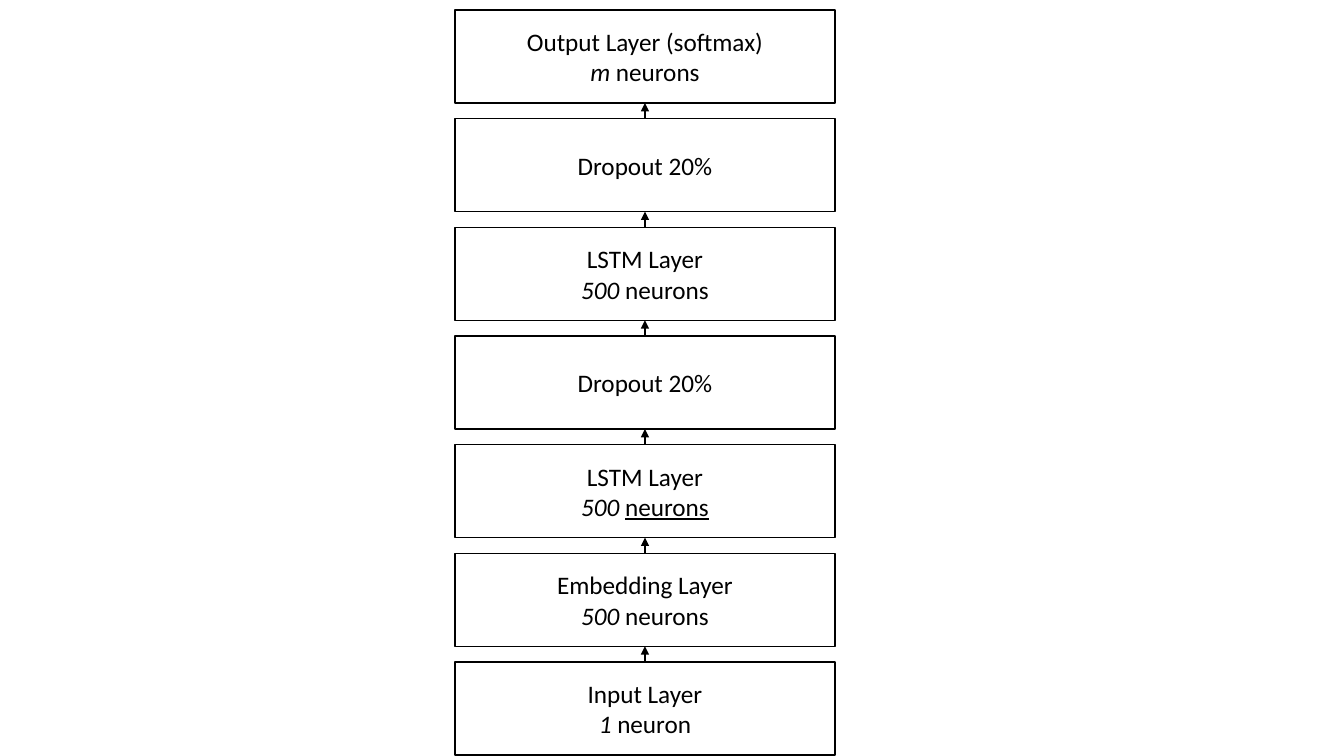
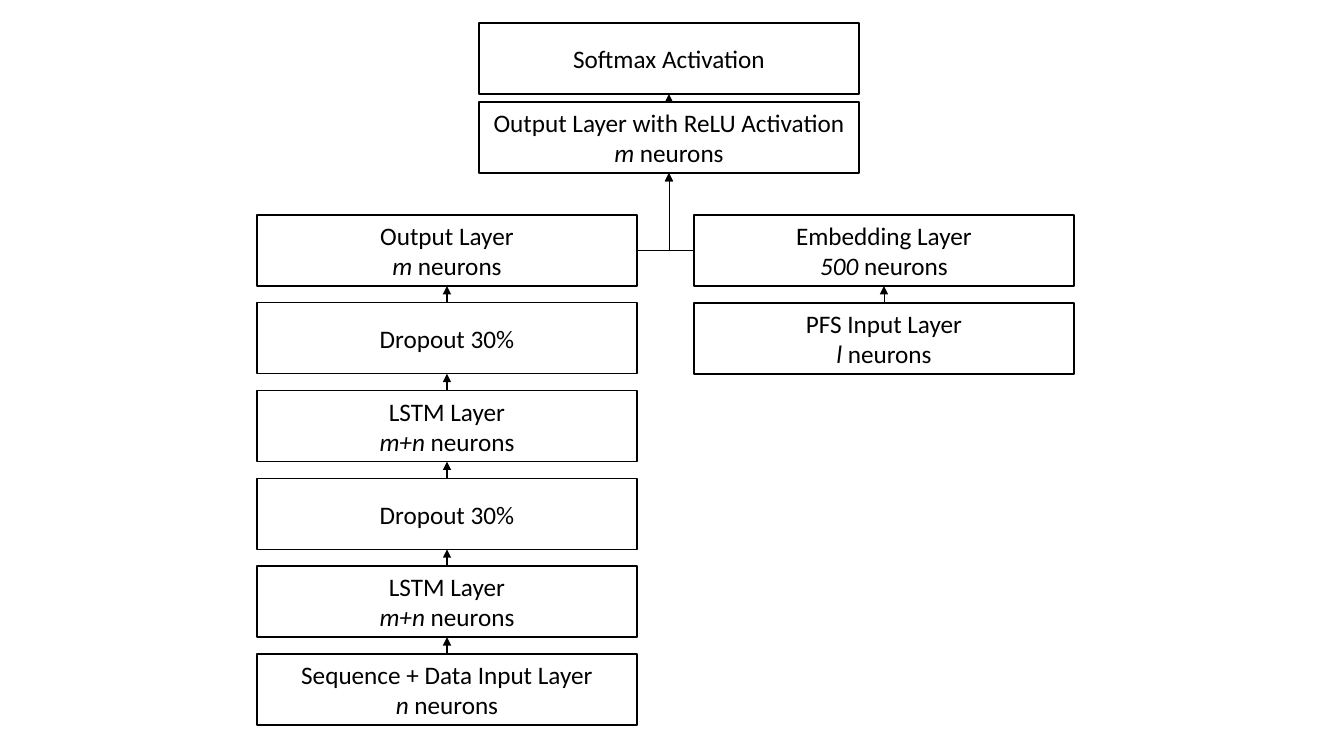
from dataclasses import dataclass
from itertools import pairwise

from lxml import etree
from pptx import Presentation
from pptx.dml.color import RGBColor
from pptx.enum import shapes, text
from pptx.oxml.ns import qn
from pptx.shapes.autoshape import Shape
from pptx.slide import Slide
from pptx.util import Emu, Pt

# Shared look
BLACK = RGBColor(0x00, 0x00, 0x00)
FONT = "Calibri"
FONT_SIZE = Pt(18)
BOX_LINE = Pt(1)
THICK, THIN = 1.5, 0.5
BOX_WIDTH = 380
TOP, LEFT, BOTTOM, RIGHT = range(4)  # connection sites of a rectangle


def px(pixels: float) -> Emu:
    return Emu(round(pixels * 914400 / 100.8))


@dataclass(frozen=True)
class Layer:
    title: str
    count: str = ""
    unit: str = "neurons"
    underlined: bool = False


@dataclass(frozen=True)
class Stack:
    """Equally spaced layers, listed from top to bottom."""
    left: int
    first_top: int
    last_top: int
    box_height: int
    arrow_width: float
    layers: tuple[Layer, ...]


def add_layer(slide: Slide, layer: Layer, left: int, top: float, height: int) -> Shape:
    box = slide.shapes.add_shape(
        shapes.MSO_SHAPE.RECTANGLE, px(left), px(top), px(BOX_WIDTH), px(height))
    box.shadow.inherit = False
    box.fill.background()
    box.line.color.rgb = BLACK
    box.line.width = BOX_LINE
    frame = box.text_frame
    frame.word_wrap = True
    frame.vertical_anchor = text.MSO_ANCHOR.MIDDLE
    frame.text = layer.title
    if layer.count:
        size_line = frame.add_paragraph()
        count = size_line.add_run()
        count.text = f"{layer.count} "
        count.font.italic = True
        unit = size_line.add_run()
        unit.text = layer.unit
        if layer.underlined:
            unit.font.underline = True
    for paragraph in frame.paragraphs:
        paragraph.alignment = text.PP_ALIGN.CENTER
        paragraph.font.name = FONT
        paragraph.font.size = FONT_SIZE
        paragraph.font.color.rgb = BLACK
    return box


def add_arrow(slide: Slide, source: Shape, target: Shape, width: float,
              source_site: int = TOP) -> None:
    """Arrow into the bottom of target; it bends when it leaves from a side."""
    bent = source_site in (LEFT, RIGHT)
    kind = shapes.MSO_CONNECTOR.ELBOW if bent else shapes.MSO_CONNECTOR.STRAIGHT
    arrow = slide.shapes.add_connector(kind, 0, 0, 0, 0)
    arrow.begin_connect(source, source_site)
    arrow.end_connect(target, BOTTOM)
    arrow.line.color.rgb = BLACK
    arrow.line.width = Pt(width)
    properties = arrow.element.spPr
    if bent:
        properties.find(qn("a:prstGeom")).set("prst", "bentConnector2")
    etree.SubElement(properties.find(qn("a:ln")), qn("a:tailEnd"), type="triangle")
    etree.SubElement(properties, qn("a:effectLst"))


def add_stack(slide: Slide, stack: Stack) -> list[Shape]:
    pitch = (stack.last_top - stack.first_top) / (len(stack.layers) - 1)
    boxes = [
        add_layer(slide, layer, stack.left, stack.first_top + row * pitch, stack.box_height)
        for row, layer in enumerate(stack.layers)
    ]
    for upper, lower in pairwise(boxes):
        add_arrow(slide, lower, upper, stack.arrow_width)
    return boxes


# Content
SEQUENCE_MODEL = Stack(455, 10, 662, 93, THICK, (
    Layer("Output Layer (softmax)", "m"),
    Layer("Dropout 20%"),
    Layer("LSTM Layer", "500"),
    Layer("Dropout 20%"),
    Layer("LSTM Layer", "500", underlined=True),
    Layer("Embedding Layer", "500"),
    Layer("Input Layer", "1", "neuron"),
))
MERGED_OUTPUT = Stack(479, 23, 102, 71, THIN, (
    Layer("Softmax Activation"),
    Layer("Output Layer with ReLU Activation", "m"),
))
SEQUENCE_BRANCH = Stack(257, 215, 654, 71, THICK, (
    Layer("Output Layer", "m"),
    Layer("Dropout 30%"),
    Layer("LSTM Layer", "m+n"),
    Layer("Dropout 30%"),
    Layer("LSTM Layer", "m+n"),
    Layer("Sequence + Data Input Layer", "n"),
))
PFS_BRANCH = Stack(694, 215, 303, 71, THIN, (
    Layer("Embedding Layer", "500"),
    Layer("PFS Input Layer", "l"),
))

deck = Presentation()
deck.slide_width, deck.slide_height = px(1344), px(756)
blank = deck.slide_layouts[6]

# Slide 1: single stack
add_stack(deck.slides.add_slide(blank), SEQUENCE_MODEL)

# Slide 2: two branches merging into one output
merged_slide = deck.slides.add_slide(blank)
relu_output = add_stack(merged_slide, MERGED_OUTPUT)[-1]
for branch, inner_side in ((SEQUENCE_BRANCH, RIGHT), (PFS_BRANCH, LEFT)):
    branch_output = add_stack(merged_slide, branch)[0]
    add_arrow(merged_slide, branch_output, relu_output, THIN, inner_side)

deck.save("out.pptx")
